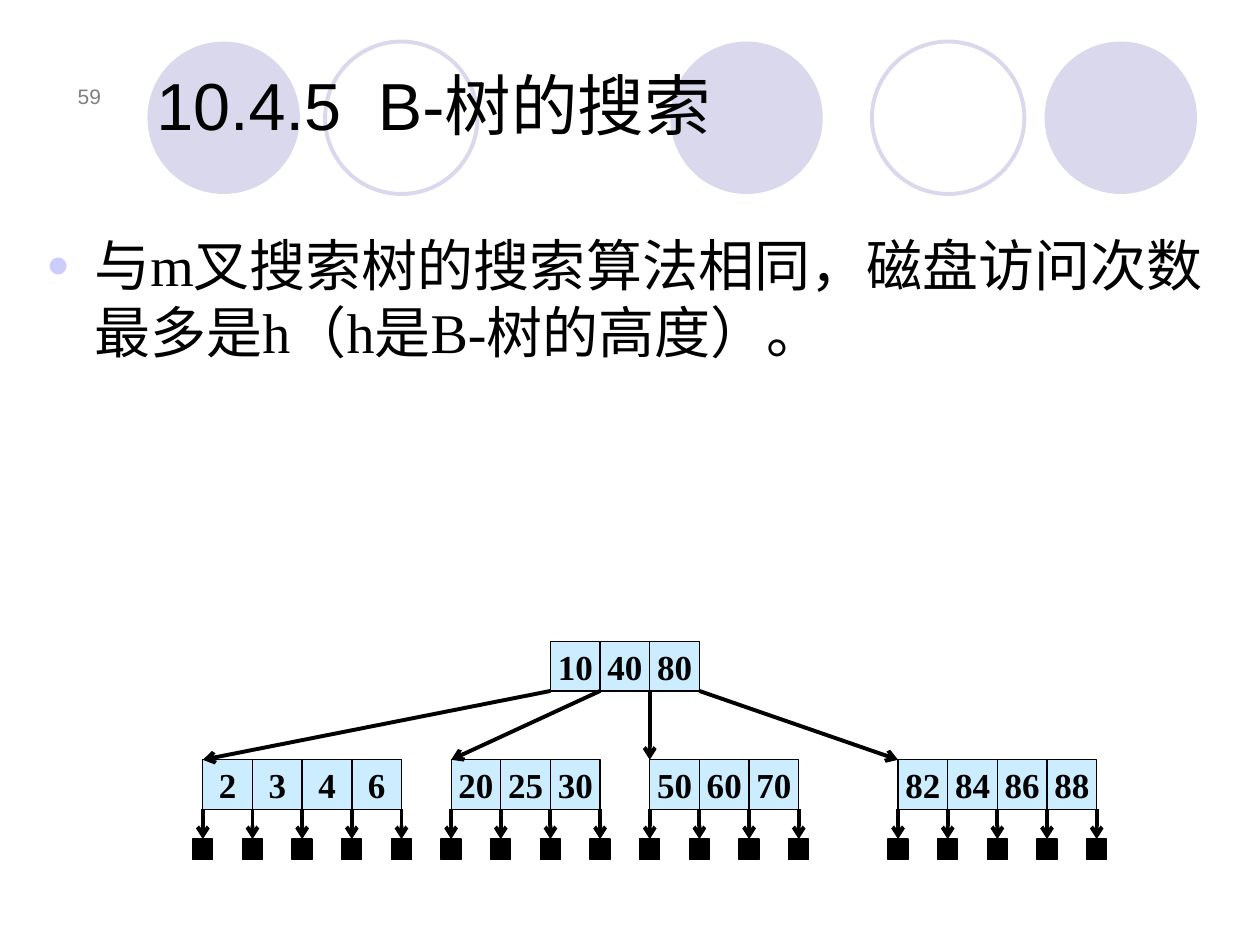
from typing import NamedTuple

from lxml.etree import SubElement
from pptx import Presentation
from pptx.dml.color import RGBColor
from pptx.enum.shapes import MSO_CONNECTOR as Link, MSO_SHAPE as Kind
from pptx.enum.text import MSO_ANCHOR as Anchor, PP_ALIGN as Align
from pptx.oxml.ns import qn
from pptx.util import Inches, Pt

BLACK = RGBColor(0x00, 0x00, 0x00)
GRAY = RGBColor(0x80, 0x80, 0x80)
LILAC = RGBColor(0xD9, 0xD8, 0xEC)
CYAN = RGBColor(0xCC, 0xEC, 0xFF)
BULLET = RGBColor(0xCC, 0xCC, 0xFF)
SANS, SERIF = "Arial", "Times New Roman"

# The tree sits on a grid of 17 equal slots
LEFT, SIDE = 1.61, 6.7 / 17
ROOT_TOP, LEAF_TOP, STOP_TOP = 5.09, 6.03, 6.66
STOP = 0.16


class Disc(NamedTuple):
    left: float
    solid: bool


class Node(NamedTuple):
    slot: int
    top: float
    keys: tuple[int, ...]


DISCS = [Disc(5.32, True), Disc(8.29, True), Disc(1.17, True),
         Disc(6.92, False), Disc(2.58, False)]
ROOT = Node(7, ROOT_TOP, (10, 40, 80))
LEAVES = [Node(0, LEAF_TOP, (2, 3, 4, 6)),
          Node(5, LEAF_TOP, (20, 25, 30)),
          Node(9, LEAF_TOP, (50, 60, 70)),
          Node(14, LEAF_TOP, (82, 84, 86, 88))]


def slot_x(slot: int) -> float:
    return LEFT + slot * SIDE


def add_shape(kind: Kind, left: float, top: float, size: float,
              fill: RGBColor | None, line: RGBColor | None, width: float = 0.75):
    shape = slide.shapes.add_shape(kind, *map(Inches, (left, top, size, size)))
    shape.shadow.inherit = False
    if fill is None:
        shape.fill.background()
    else:
        shape.fill.solid()
        shape.fill.fore_color.rgb = fill
    if line is None:
        shape.line.fill.background()
    else:
        shape.line.color.rgb = line
        shape.line.width = Pt(width)
    return shape


def style(para, face: str, size: int, color: RGBColor, align: Align,
          bold: bool = False) -> None:
    para.alignment = align
    for run in para.runs:
        font = run.font
        font.name, font.size, font.bold = face, Pt(size), bold
        font.color.rgb = color


def add_text(text: str, left: float, top: float, width: float, height: float):
    box = slide.shapes.add_textbox(*map(Inches, (left, top, width, height)))
    frame = box.text_frame
    frame.word_wrap = True
    frame.text = text
    return frame


def add_bullet(para, indent: float) -> None:
    props = para._p.get_or_add_pPr()
    props.set("marL", str(Inches(indent)))
    props.set("indent", str(-Inches(indent)))
    color = SubElement(props, qn("a:buClr"))
    SubElement(color, qn("a:srgbClr"), val=str(BULLET))
    SubElement(props, qn("a:buSzPct"), val="70000")
    SubElement(props, qn("a:buFont"), typeface=SANS)
    SubElement(props, qn("a:buChar"), char="●")


def add_arrow(tip: tuple[float, float], base: tuple[float, float]) -> None:
    arrow = slide.shapes.add_connector(Link.STRAIGHT, *map(Inches, tip + base))
    arrow.line.color.rgb = BLACK
    arrow.line.width = Pt(2.25)
    SubElement(arrow.line._get_or_add_ln(), qn("a:headEnd"), type="arrow")
    SubElement(arrow._element.spPr, qn("a:effectLst"))


def add_node(node: Node) -> None:
    for i, key in enumerate(node.keys):
        cell = add_shape(Kind.RECTANGLE, slot_x(node.slot + i), node.top,
                         SIDE, CYAN, BLACK)
        frame = cell.text_frame
        frame.word_wrap = False
        frame.vertical_anchor = Anchor.MIDDLE
        frame.text = str(key)
        style(frame.paragraphs[0], SERIF, 20, BLACK, Align.CENTER, bold=True)


def add_stops(leaf: Node) -> None:
    for i in range(len(leaf.keys) + 1):
        x = slot_x(leaf.slot + i)
        add_shape(Kind.RECTANGLE, x - STOP / 2, STOP_TOP, STOP, BLACK, BLACK)
        add_arrow((x, STOP_TOP), (x, LEAF_TOP + SIDE))


deck = Presentation()
deck.slide_width, deck.slide_height = Inches(10), Inches(7.5)
slide = deck.slides.add_slide(deck.slide_layouts[5])

# Row of discs behind the title
for disc in DISCS:
    add_shape(Kind.OVAL, disc.left, 0.33, 1.21,
              LILAC if disc.solid else None,
              None if disc.solid else LILAC, 2.25)

# Slide number
number = add_text("59", 0.35, 0.44, 0.55, 0.47)
number.vertical_anchor = Anchor.BOTTOM
style(number.paragraphs[0], SANS, 12, GRAY, Align.RIGHT)

# Title, moved in front of the discs
title = slide.shapes.title
slide.shapes._spTree.append(title._element)
title.left, title.top = Inches(1.14), Inches(0.28)
title.width, title.height = Inches(8.19), Inches(0.91)
title.text_frame.text = "10.4.5  B-树的搜索"
title.text_frame.vertical_anchor = Anchor.BOTTOM
style(title.text_frame.paragraphs[0], SANS, 38, BLACK, Align.LEFT)

# Body text
body = add_text("与m叉搜索树的搜索算法相同，磁盘访问次数最多是h（h是B-树的高度）。",
                0.27, 1.78, 9.53, 3.31)
add_bullet(body.paragraphs[0], 0.38)
style(body.paragraphs[0], SERIF, 32, BLACK, Align.LEFT)

# Tree: root, leaves, pointers and end blocks
add_node(ROOT)
for i, leaf in enumerate(LEAVES):
    add_node(leaf)
    add_stops(leaf)
    add_arrow((slot_x(leaf.slot), LEAF_TOP),
              (slot_x(ROOT.slot + i), ROOT_TOP + SIDE))

deck.save("out.pptx")
